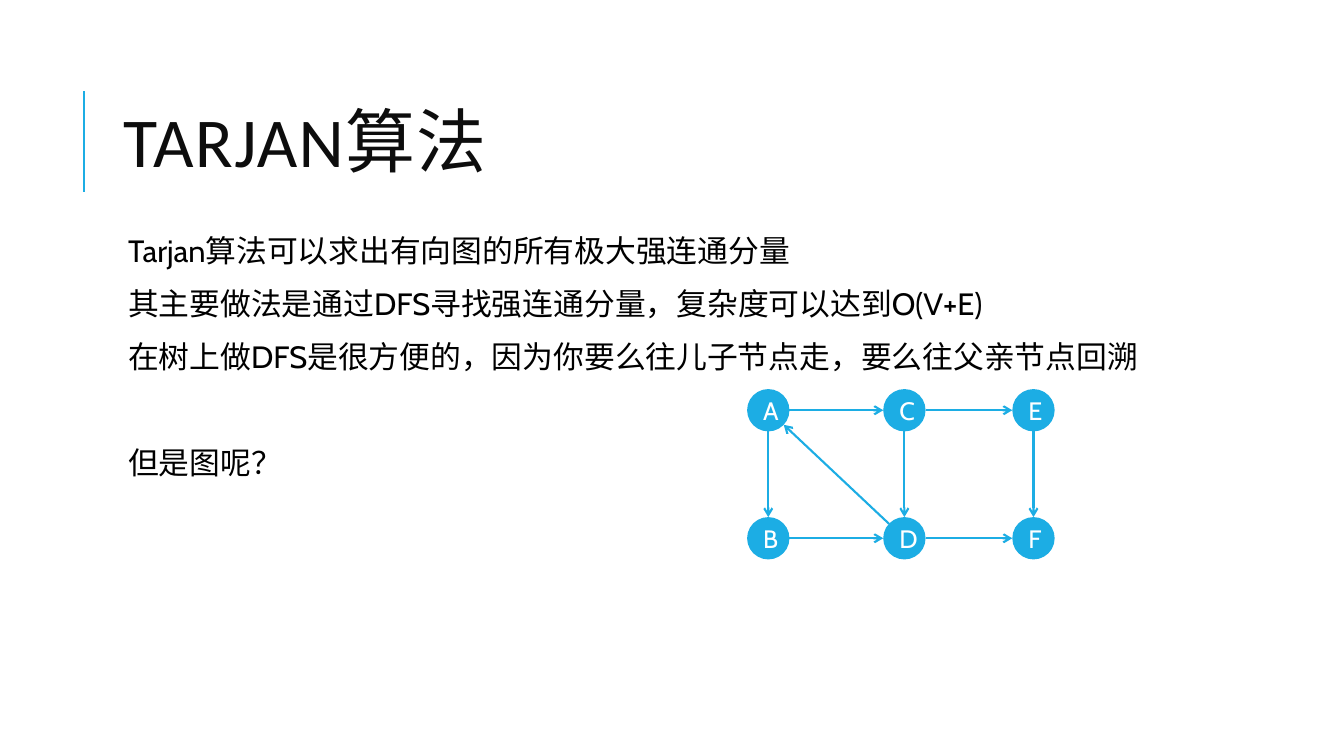
"""Build the slide that introduces Tarjan's algorithm with a small directed graph."""
from math import hypot

from lxml.etree import SubElement
from pptx import Presentation
from pptx.dml.color import RGBColor
from pptx.enum.shapes import MSO_CONNECTOR, MSO_SHAPE
from pptx.enum.text import MSO_ANCHOR, MSO_AUTO_SIZE, PP_ALIGN
from pptx.oxml.ns import qn
from pptx.util import Inches, Pt

ACCENT = "1CADE4"


def color(hex_string):
    return RGBColor.from_string(hex_string)


def draw_line(start_x, start_y, end_x, end_y):
    line = slide.shapes.add_connector(
        MSO_CONNECTOR.STRAIGHT, Inches(start_x), Inches(start_y), Inches(end_x), Inches(end_y))
    line.line.color.rgb = color(ACCENT)
    line.line.width = Pt(1.5)
    SubElement(line._element.spPr, qn("a:effectLst"))
    return line


deck = Presentation()
deck.slide_width, deck.slide_height = Inches(13.33), Inches(7.5)
slide = deck.slides.add_slide(deck.slide_layouts[1])

draw_line(0.83, 1.9, 0.83, 0.9)

heading = slide.shapes.title
heading.left, heading.top = Inches(1.12), Inches(0.64)
heading.width, heading.height = Inches(10.63), Inches(1.64)
heading.text_frame.text = "TARJAN算法"
heading.text_frame.auto_size = MSO_AUTO_SIZE.NONE
heading.text_frame.vertical_anchor = MSO_ANCHOR.MIDDLE
heading_line = heading.text_frame.paragraphs[0]
heading_line.alignment = PP_ALIGN.LEFT
heading_line.line_spacing = 0.8
heading_font = heading_line.runs[0].font
heading_font.name, heading_font.size = "Calibri", Pt(50)
heading_font.color.rgb = color("0D0D0D")
heading_font._element.set("spc", "100")

explanation = slide.placeholders[1]
explanation.left, explanation.top = Inches(1.12), Inches(2.29)
explanation.width, explanation.height = Inches(10.63), Inches(4.4)
explanation_frame = explanation.text_frame
explanation_frame.auto_size = MSO_AUTO_SIZE.NONE
explanation_frame.margin_left = explanation_frame.margin_right = Inches(0.05)
explanation_frame.margin_top = explanation_frame.margin_bottom = Inches(0.05)
statements = [
    ("Tarjan算法可以求出有向图的所有极大强连通分量", 0),
    ("其主要做法是通过DFS寻找强连通分量，复杂度可以达到O(V+E)", 12),
    ("在树上做DFS是很方便的，因为你要么往儿子节点走，要么往父亲节点回溯", 12),
    ("但是图呢？", 50),
]
explanation_frame.text = "\n".join(statement for statement, _ in statements)
for paragraph, (_, space_before) in zip(explanation_frame.paragraphs, statements):
    paragraph.line_spacing = 0.9
    paragraph.space_before, paragraph.space_after = Pt(space_before), Pt(2)
    properties = paragraph._p.get_or_add_pPr()
    properties.set("marL", str(Inches(0.1)))
    properties.set("indent", "0")
    SubElement(properties, qn("a:buNone"))
    statement_font = paragraph.runs[0].font
    statement_font.name, statement_font.size = "Cabin", Pt(22)
    statement_font.color.rgb = color("000000")

RADIUS = 0.21
columns = {7.62: "AB", 8.97: "CD", 10.25: "EF"}
centers = {}
for center_x, letters in columns.items():
    for letter, center_y in zip(letters, (4.07, 5.34)):
        centers[letter] = (center_x, center_y)
        node = slide.shapes.add_shape(
            MSO_SHAPE.OVAL, Inches(center_x - RADIUS), Inches(center_y - RADIUS),
            Inches(2 * RADIUS), Inches(2 * RADIUS))
        node.shadow.inherit = False
        node.fill.solid()
        node.fill.fore_color.rgb = color(ACCENT)
        node.line.fill.background()
        node.text_frame.text = letter
        node.text_frame.vertical_anchor = MSO_ANCHOR.MIDDLE
        label = node.text_frame.paragraphs[0]
        label.alignment = PP_ALIGN.CENTER
        label_font = label.runs[0].font
        label_font.name, label_font.size = "Cabin", Pt(18)
        label_font.color.rgb = color("FFFFFF")

for source, target in ("AC", "CE", "AB", "BD", "DF", "EF", "CD", "DA"):
    (source_x, source_y), (target_x, target_y) = centers[source], centers[target]
    distance = hypot(target_x - source_x, target_y - source_y)
    trim_x = RADIUS * (target_x - source_x) / distance
    trim_y = RADIUS * (target_y - source_y) / distance
    edge = draw_line(source_x + trim_x, source_y + trim_y, target_x - trim_x, target_y - trim_y)
    SubElement(edge.line._get_or_add_ln(), qn("a:tailEnd"), type="arrow")

deck.save("out.pptx")
